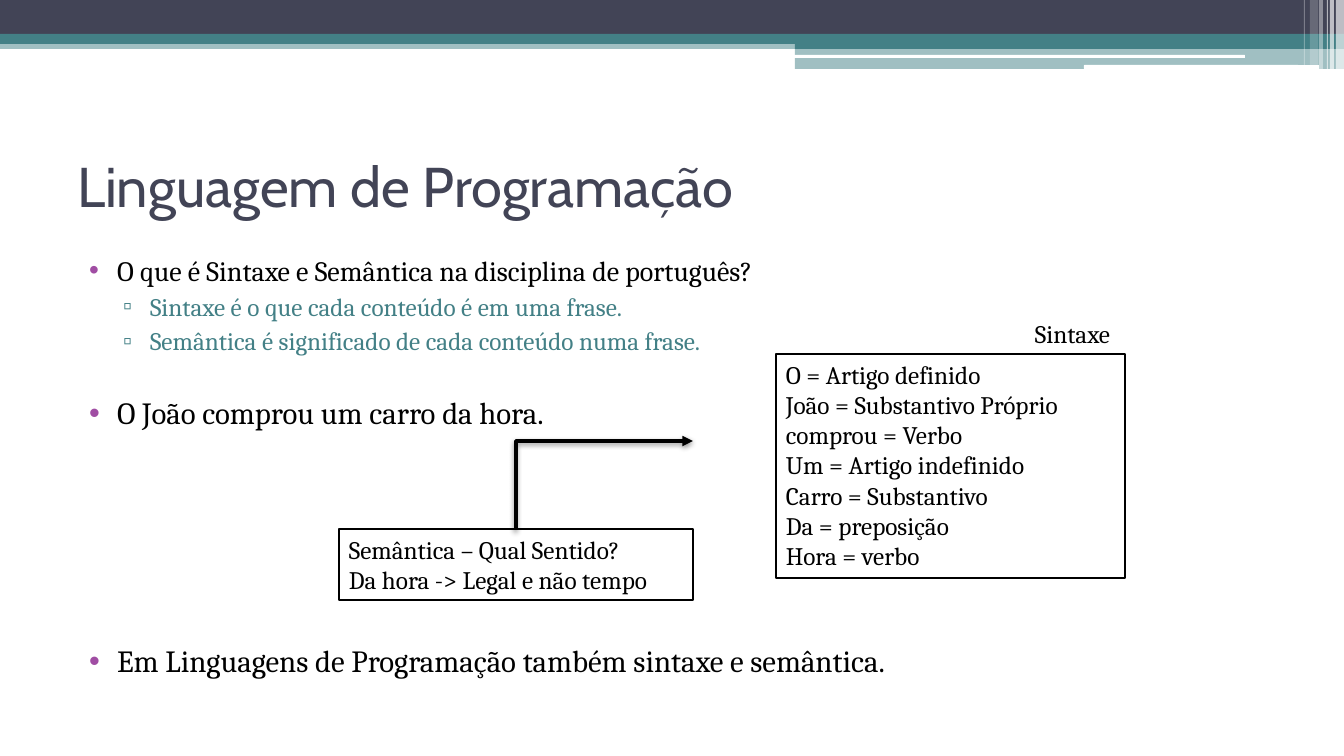
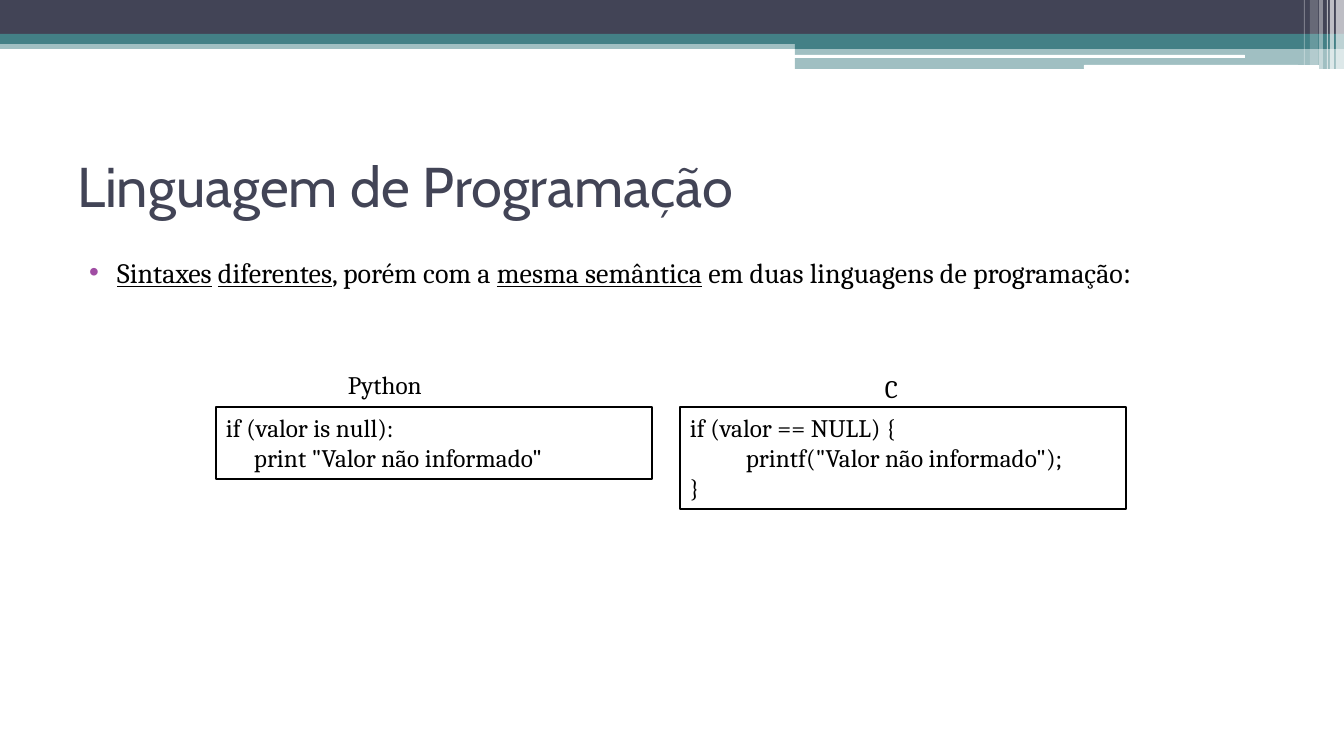
from dataclasses import dataclass

from lxml.etree import SubElement
from pptx import Presentation
from pptx.dml.color import RGBColor
from pptx.enum.shapes import MSO_CONNECTOR as CONN, MSO_SHAPE as SHAPE
from pptx.enum.text import MSO_ANCHOR as ANCHOR, MSO_AUTO_SIZE as AUTO, PP_ALIGN as ALIGN
from pptx.oxml.ns import qn
from pptx.util import Pt

EMU_PER_PX = 914400 / 100.8


def px(n):
    return round(n * EMU_PER_PX)


@dataclass(frozen=True)
class Theme:
    ink: str = "000000"
    paper: str = "FFFFFF"
    navy: str = "424456"
    teal: str = "438086"
    purple: str = "A04DA3"
    title_font: str = "Cabin"
    text_font: str = "Cambria"
    title_size: int = 40
    lead_size: int = 22
    body_size: int = 20
    small_size: int = 18
    gap: int = 3
    box_line: float = 1.5
    arrow_line: float = 2.5


T = Theme()
TITLE_AT = (67, 126, 1210, 118)
BODY_AT = (67, 248, 1210, 477)
LEVELS = (
    ("•", T.purple, T.ink, 40, -28),
    ("▫", T.teal, T.teal, 73, -27),
)
BANDS = (
    (SHAPE.RECTANGLE, (0, 40, 1344, 9), T.teal, 50),
    (SHAPE.RECTANGLE, (0, 0, 1344, 34), T.navy, 100),
    (SHAPE.RECTANGLE, (0, 34, 1344, 10), T.teal, 100),
    (SHAPE.RECTANGLE, (795, 39, 549, 10), T.teal, 100),
    (SHAPE.RECTANGLE, (795, 49, 549, 20), T.teal, 50),
    (SHAPE.ROUNDED_RECTANGLE, (794, 55, 451, 3), T.paper, 100),
    (SHAPE.ROUNDED_RECTANGLE, (1084, 65, 235, 4), T.paper, 100),
)
STRIPES = (
    (1336, 8, 69, 65),
    (1330, 4, 69, 65),
    (1327, 1, 69, 60),
    (1319, 4, 69, 40),
    (1310, 8, 65, 20),
    (1304, 1, 65, 30),
)


class Deck:
    def __init__(self):
        self.prs = Presentation()
        self.prs.slide_width, self.prs.slide_height = px(1344), px(756)
        self.layout = self.prs.slide_layouts[1]
        for ph, at in zip(self.layout.placeholders, (TITLE_AT, BODY_AT)):
            ph.left, ph.top, ph.width, ph.height = map(px, at)
        self.s = None

    def slide(self, title):
        self.s = self.prs.slides.add_slide(self.layout)
        tf = self.s.shapes.title.text_frame
        tf.auto_size, tf.vertical_anchor = AUTO.NONE, ANCHOR.MIDDLE
        p = tf.paragraphs[0]
        p.alignment = ALIGN.LEFT
        self.run(p, title, T.title_size, T.navy, T.title_font)

    def run(self, p, text, size, color=T.ink, font=T.text_font, underline=None):
        r = p.add_run()
        r.text = text
        r.font.size, r.font.name, r.font.underline = Pt(size), font, underline
        r.font.color.rgb = RGBColor.from_string(color)

    def shape(self, kind, at, color, alpha=100):
        sp = self.s.shapes.add_shape(kind, *map(px, at))
        sp.shadow.inherit = False
        sp.fill.solid()
        sp.fill.fore_color.rgb = RGBColor.from_string(color)
        sp.line.fill.background()
        if alpha < 100:
            clr = sp.element.spPr.find(".//" + qn("a:srgbClr"))
            SubElement(clr, qn("a:alpha"), val=str(alpha * 1000))
        return sp

    def layout_bands(self):
        stripes = [(SHAPE.RECTANGLE, (x, 0, w, h), T.paper, a) for x, w, h, a in STRIPES]
        for i, band in enumerate([*BANDS, *stripes]):
            sp = self.shape(*band)
            sp.element.nvSpPr.cNvPr.set("id", str(100 + i))
            self.layout.shapes.element.append(sp.element)

    def paragraphs(self, tf, items):
        for i, item in enumerate(items):
            yield (tf.add_paragraph() if i else tf.paragraphs[0]), item

    def body(self, items):
        tf = self.s.placeholders[1].text_frame
        tf.auto_size = AUTO.NONE
        for p, (level, before, runs) in self.paragraphs(tf, items):
            char, bullet_color, color, margin, indent = LEVELS[level]
            p.level, p.alignment, p.space_before = level, ALIGN.JUSTIFY, Pt(before)
            pPr = p._p.get_or_add_pPr()
            pPr.set("marL", str(px(margin)))
            pPr.set("indent", str(px(indent)))
            SubElement(SubElement(pPr, qn("a:buClr")), qn("a:srgbClr"), val=bullet_color)
            SubElement(pPr, qn("a:buChar"), char=char)
            for text, size, underline in runs:
                self.run(p, text, size, color, underline=underline)

    def lines(self, sp, items):
        tf = sp.text_frame
        tf.word_wrap, tf.vertical_anchor = True, ANCHOR.TOP
        for p, (text, margin) in self.paragraphs(tf, items):
            p.alignment = ALIGN.LEFT
            if margin:
                p._p.get_or_add_pPr().set("marL", str(px(margin)))
            self.run(p, text, T.small_size)

    def box(self, at, *items):
        sp = self.shape(SHAPE.RECTANGLE, at, T.paper)
        sp.line.color.rgb = RGBColor.from_string(T.ink)
        sp.line.width = Pt(T.box_line)
        self.lines(sp, [(t, 0) if isinstance(t, str) else t for t in items])

    def label(self, at, text):
        self.lines(self.s.shapes.add_textbox(*map(px, at)), [(text, 0)])

    def bent_arrow(self, tip, start):
        c = self.s.shapes.add_connector(CONN.ELBOW, *map(px, (*tip, *start)))
        c.line.color.rgb = RGBColor.from_string(T.ink)
        c.line.width = Pt(T.arrow_line)
        spPr = c.element.spPr
        spPr.find(qn("a:prstGeom")).set("prst", "bentConnector2")
        SubElement(spPr.find(qn("a:ln")), qn("a:headEnd"), type="triangle")
        shadow = SubElement(
            SubElement(spPr, qn("a:effectLst")), qn("a:outerShdw"),
            blurRad=str(Pt(4)), dist=str(Pt(2)), dir="5400000", rotWithShape="0",
        )
        clr = SubElement(shadow, qn("a:srgbClr"), val=T.ink)
        SubElement(clr, qn("a:alpha"), val="45000")


def syntax_slide(deck):
    blank_line = 1.2 * T.small_size + T.gap
    deck.body([
        (0, T.gap, [("O que é Sintaxe e Semântica na disciplina de português?", T.body_size, None)]),
        (1, T.gap, [("Sintaxe é o que cada conteúdo é em uma frase.", T.small_size, None)]),
        (1, T.gap, [("Semântica é significado de cada conteúdo numa frase.", T.small_size, None)]),
        (0, T.gap + blank_line, [("O João comprou um carro da hora.", T.lead_size, None)]),
        (0, T.gap + 6 * blank_line,
         [("Em Linguagens de Programação também sintaxe e semântica.", T.lead_size, None)]),
    ])
    deck.box(
        (776, 354, 349, 224),
        "O = Artigo definido",
        "João = Substantivo Próprio",
        "comprou = Verbo",
        "Um = Artigo indefinido",
        "Carro = Substantivo",
        "Da = preposição",
        "Hora = verbo",
    )
    deck.label((1025, 313, 104, 40), "Sintaxe")
    deck.box((339, 529, 354, 71), "Semântica – Qual Sentido?", "Da hora -> Legal e não tempo")
    deck.bent_arrow((693, 441), (516, 529))


def languages_slide(deck):
    deck.body([(0, T.gap, [
        ("Sintaxes", T.body_size, True),
        (" ", T.body_size, None),
        ("diferentes", T.body_size, True),
        (", porém com a ", T.body_size, None),
        ("mesma semântica", T.body_size, True),
        (" em duas linguagens de programação", T.body_size, None),
        (":", T.lead_size, None),
    ])])
    deck.box((216, 407, 436, 72), "if (valor is null):", ('print "Valor não informado"', 28))
    deck.label((338, 364, 101, 40), "Python")
    deck.box(
        (680, 407, 446, 102),
        "if (valor == NULL) {",
        ('printf("Valor não informado");', 56),
        "}",
    )
    deck.label((875, 368, 36, 40), "C")


def main():
    deck = Deck()
    for i, fill_slide in enumerate((syntax_slide, languages_slide)):
        deck.slide("Linguagem de Programação")
        if i == 0:
            deck.layout_bands()
        fill_slide(deck)
    deck.prs.save("out.pptx")


if __name__ == "__main__":
    main()
